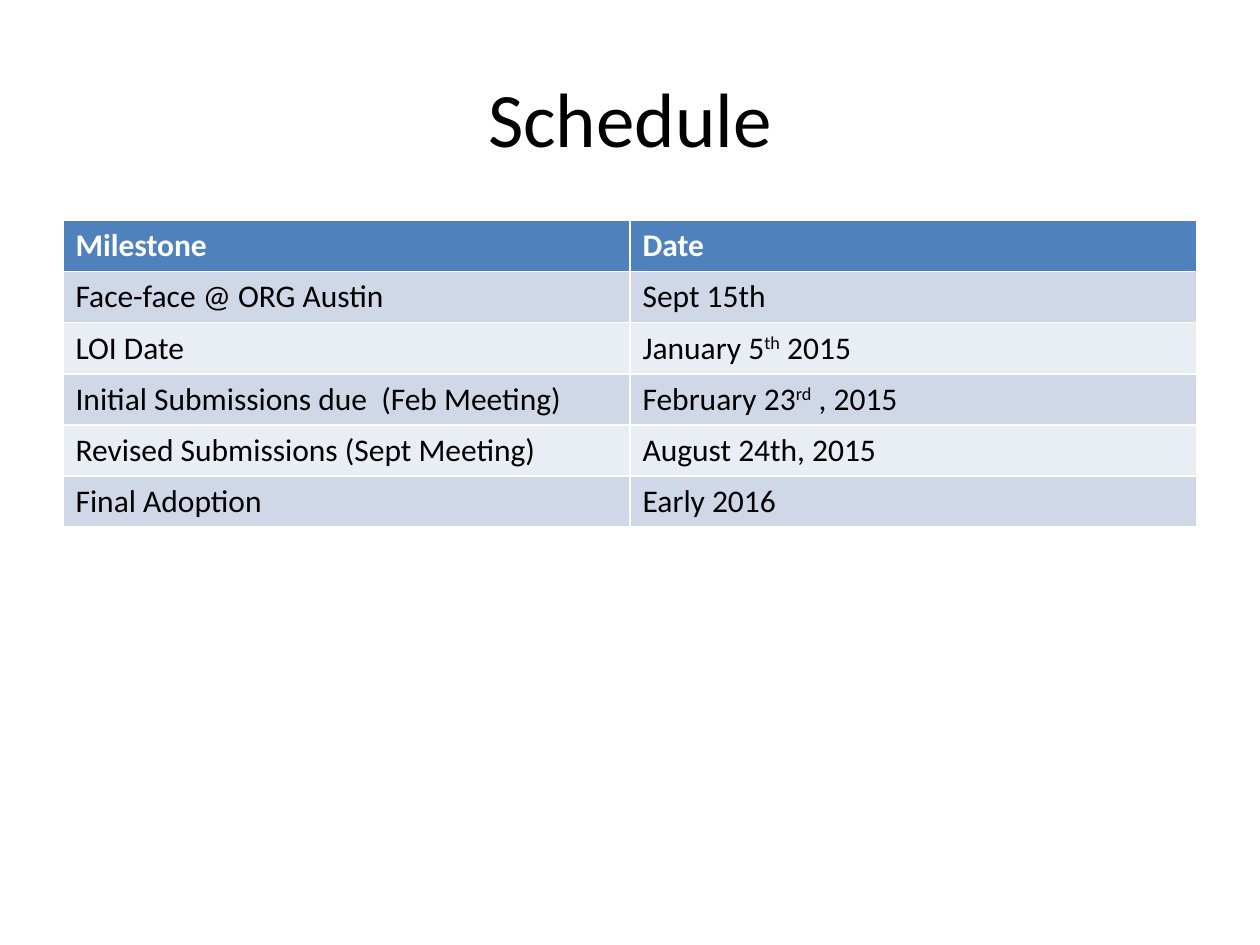
from pptx import Presentation
from pptx.dml.color import RGBColor
from pptx.enum.text import MSO_ANCHOR, PP_ALIGN
from pptx.util import Inches, Pt

TITLE = "Schedule"
HEADER = ("Milestone", "Date")
MILESTONES = [
    ("Face-face @ ORG Austin", "Sept 15th"),
    ("LOI Date", ("January 5", "th", " 2015")),
    ("Initial Submissions due  (Feb Meeting)", ("February 23", "rd", " , 2015")),
    ("Revised Submissions (Sept Meeting)", "August 24th, 2015"),
    ("Final Adoption", "Early 2016"),
]
THEME = {
    "font": "Calibri",
    "title_size": 44,
    "body_size": 18,
    "text": "000000",
    "header_text": "FFFFFF",
    "header_fill": "4F81BD",
    "bands": ("D0D8E8", "E9EDF4"),
}
LEFT, WIDTH = 0.5, 9
TABLE_TOP, TABLE_HEIGHT = 1.75, 2.43


def style_run(r, size, color, bold=False):
    r.font.name = THEME["font"]
    r.font.size = Pt(size)
    r.font.bold = bold
    r.font.color.rgb = RGBColor.from_string(color)


def fill_cell(cell, content, fill, color, bold):
    cell.fill.solid()
    cell.fill.fore_color.rgb = RGBColor.from_string(fill)
    p = cell.text_frame.paragraphs[0]
    parts = (content,) if isinstance(content, str) else content
    for i, part in enumerate(parts):
        r = p.add_run()
        r.text = part
        style_run(r, THEME["body_size"], color, bold)
        if i == 1:
            r.font._element.set("baseline", "30000")


def add_title(s):
    sp = s.shapes.title
    sp.left, sp.top = Inches(LEFT), Inches(0.3)
    sp.width, sp.height = Inches(WIDTH), Inches(1.25)
    tf = sp.text_frame
    tf.text = TITLE
    tf.vertical_anchor = MSO_ANCHOR.MIDDLE
    p = tf.paragraphs[0]
    p.alignment = PP_ALIGN.CENTER
    style_run(p.runs[0], THEME["title_size"], THEME["text"])


def add_schedule(s):
    rows = [HEADER] + MILESTONES
    table = s.shapes.add_table(
        len(rows), len(HEADER), Inches(LEFT), Inches(TABLE_TOP),
        Inches(WIDTH), Inches(TABLE_HEIGHT)
    ).table
    for i, row in enumerate(rows):
        header = i == 0
        fill = THEME["header_fill"] if header else THEME["bands"][(i - 1) % 2]
        color = THEME["header_text"] if header else THEME["text"]
        for j, content in enumerate(row):
            fill_cell(table.cell(i, j), content, fill, color, header)


def main():
    prs = Presentation()
    prs.slide_width, prs.slide_height = Inches(10), Inches(7.5)
    s = prs.slides.add_slide(prs.slide_layouts[5])
    add_title(s)
    add_schedule(s)
    prs.save("out.pptx")


if __name__ == "__main__":
    main()
